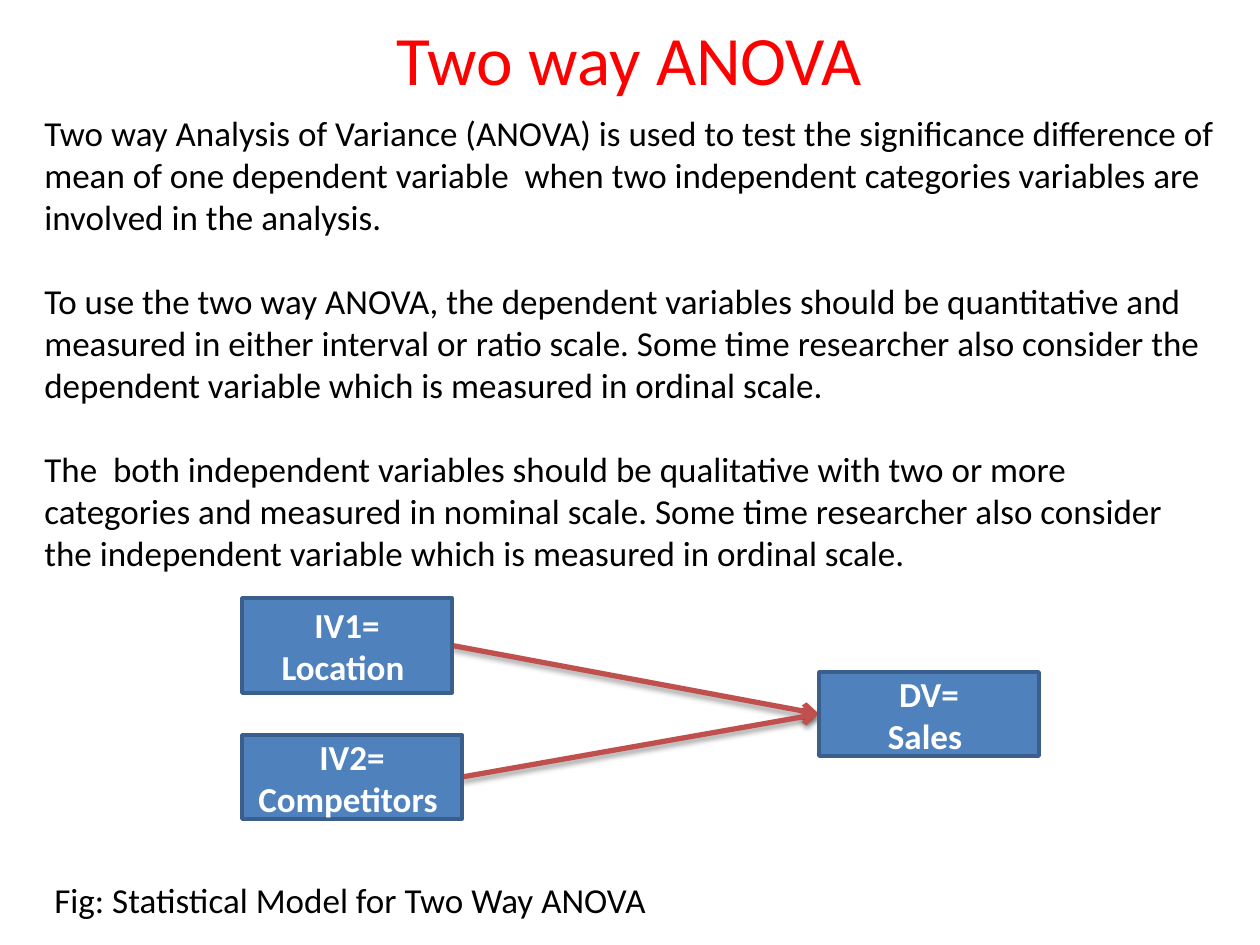
import pptx
import pptx.util
import pptx.dml.color
import pptx.enum.shapes
import pptx.enum.text
import pptx.oxml
import pptx.oxml.ns

SCALE = 914400 / 126
ALIGN = pptx.enum.text.PP_ALIGN
ANCHOR = pptx.enum.text.MSO_ANCHOR
KIND = pptx.enum.shapes

BODY = [
    "Two way Analysis of Variance (ANOVA) is used to test the significance difference of "
    "mean of one dependent variable  when two independent categories variables are "
    "involved in the analysis.",
    "To use the two way ANOVA, the dependent variables should be quantitative and "
    "measured in either interval or ratio scale. Some time researcher also consider the "
    "dependent variable which is measured in ordinal scale.",
    "The  both independent variables should be qualitative with two or more "
    "categories and measured in nominal scale. Some time researcher also consider "
    "the independent variable which is measured in ordinal scale.",
]


def px(*sizes):
    """Turn px lengths into EMU."""
    return [round(size * SCALE) for size in sizes]


def color(code):
    """Turn a hex string into a colour."""
    return pptx.dml.color.RGBColor.from_string(code)


def write(shape, lines, size=20, ink="000000", bold=False, align=ALIGN.LEFT,
          anchor=ANCHOR.TOP, gap=0):
    """Write one paragraph for each line into a shape."""
    frame = shape.text_frame
    frame.word_wrap = True
    frame.vertical_anchor = anchor
    for index, line in enumerate(lines):
        para = frame.add_paragraph() if index else frame.paragraphs[0]
        para.alignment = align
        para.space_before = pptx.util.Pt(gap if index else 0)
        run = para.add_run()
        run.text = line
        font = run.font
        font.name, font.size, font.bold = "Calibri", pptx.util.Pt(size), bold
        font.color.rgb = color(ink)


def panel(slide, box, lines, **style):
    """Place a text box."""
    write(slide.shapes.add_textbox(*px(*box)), lines, **style)


def node(slide, box, lines):
    """Place one variable of the model."""
    shape = slide.shapes.add_shape(KIND.MSO_SHAPE.RECTANGLE, *px(*box))
    shape.shadow.inherit = False
    shape.fill.solid()
    shape.fill.fore_color.rgb = color("4F81BD")
    shape.line.color.rgb = color("3A5F8C")
    shape.line.width = pptx.util.Pt(2)
    write(shape, lines, ink="FFFFFF", bold=True, align=ALIGN.CENTER, anchor=ANCHOR.MIDDLE)


def arrow(slide, start, end):
    """Draw an arrow with a soft shadow."""
    link = slide.shapes.add_connector(KIND.MSO_CONNECTOR.STRAIGHT, *px(*start, *end))
    link.line.color.rgb = color("C0504D")
    link.line.width = pptx.util.Pt(3)
    space = pptx.oxml.ns.nsdecls("a")
    tip = pptx.oxml.parse_xml(f'<a:tailEnd {space} type="arrow"/>')
    link.line._get_or_add_ln().append(tip)
    shade = pptx.oxml.parse_xml(
        f'<a:effectLst {space}><a:outerShdw blurRad="40000" dist="23000" dir="5400000" '
        'rotWithShape="0"><a:srgbClr val="000000"><a:alpha val="35000"/></a:srgbClr>'
        '</a:outerShdw></a:effectLst>')
    link._element.spPr.append(shade)


def model(slide, left, top):
    """Draw two causes that point to one outcome."""
    causes = [
        ((left, top, 210, 95), ["IV1=", "Location "]),
        ((left, top + 137, 220, 84), ["IV2=", "Competitors "]),
    ]
    goal = (left + 577, top + 74, 220, 84)
    for (x, y, wide, high), _ in causes:
        arrow(slide, (x + wide, y + high / 2), (goal[0], goal[1] + goal[3] / 2))
    for box, lines in [(goal, ["DV=", "Sales "]), *causes]:
        node(slide, box, lines)


def main():
    """Build and save the slide."""
    deck = pptx.Presentation()
    deck.slide_width, deck.slide_height = px(1260, 945)
    slide = deck.slides.add_slide(deck.slide_layouts[6])
    panel(slide, (94, 10, 1071, 95), ["Two way ANOVA"], size=39.6, ink="FF0000",
          align=ALIGN.CENTER, anchor=ANCHOR.MIDDLE)
    panel(slide, (32, 105, 1197, 479), BODY, gap=24)
    panel(slide, (42, 872, 1144, 55), ["Fig: Statistical Model for Two Way ANOVA"])
    model(slide, 242, 598)
    deck.save("out.pptx")


if __name__ == "__main__":
    main()
